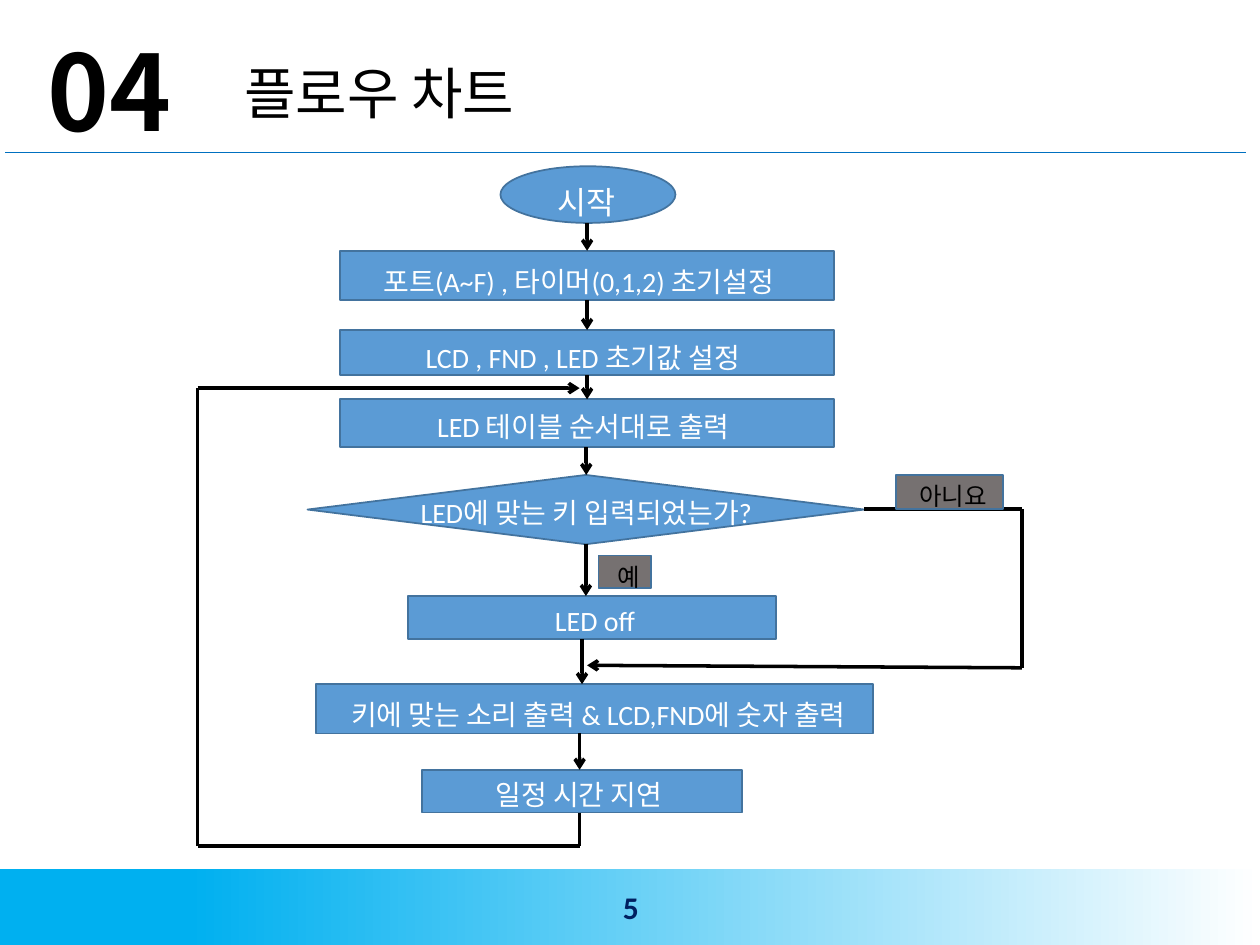
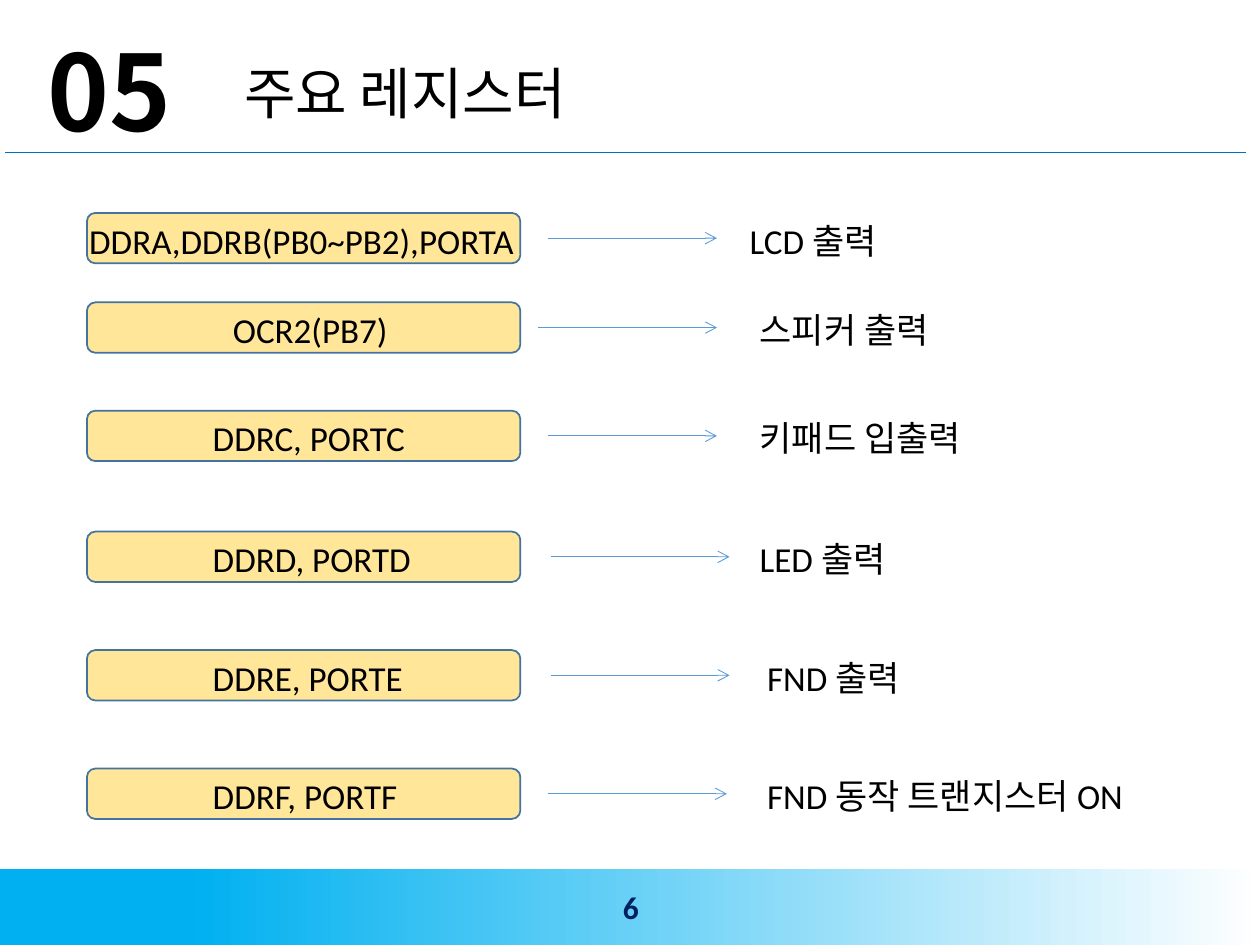
from itertools import pairwise

from lxml import etree
from pptx import Presentation
from pptx.dml.color import RGBColor
from pptx.enum.shapes import MSO_CONNECTOR, MSO_SHAPE
from pptx.enum.text import MSO_ANCHOR, PP_ALIGN
from pptx.oxml.ns import qn
from pptx.util import Pt

# Enum members
STRAIGHT = MSO_CONNECTOR.STRAIGHT
RECTANGLE = MSO_SHAPE.RECTANGLE
ROUNDED = MSO_SHAPE.ROUNDED_RECTANGLE
ELLIPSE = MSO_SHAPE.OVAL
DIAMOND = MSO_SHAPE.DIAMOND
LEFT = PP_ALIGN.LEFT
CENTER = PP_ALIGN.CENTER
TOP = MSO_ANCHOR.TOP
MIDDLE = MSO_ANCHOR.MIDDLE

# Colours and fonts
BLACK = RGBColor(0x00, 0x00, 0x00)
WHITE = RGBColor(0xFF, 0xFF, 0xFF)
SKY = RGBColor(0x00, 0xB0, 0xF0)
NAVY = RGBColor(0x00, 0x20, 0x60)
RULE_BLUE = RGBColor(0x00, 0x70, 0xC0)
STEP_BLUE = RGBColor(0x5B, 0x9B, 0xD5)
EDGE_BLUE = RGBColor(0x43, 0x73, 0x9E)
ANSWER_GRAY = RGBColor(0x76, 0x71, 0x71)
REGISTER_YELLOW = RGBColor(0xFF, 0xE6, 0x99)
BODY_FONT = "Calibri"
NUMBER_FONT = "Noto Sans CJK KR"

# Flow steps: shape, its frame, text, text frame, size, alignment
STEPS = [
    (ELLIPSE, (286, 95, 100, 32.4), "시작",
     (308, 100.8, 54.7, 20.9), 18, CENTER),
    (RECTANGLE, (194.4, 143.3, 282.2, 28.1), "포트(A~F) , 타이머(0,1,2) 초기설정",
     (199.4, 147.6, 262.8, 18.7), 16, CENTER),
    (RECTANGLE, (194.4, 188.6, 282.2, 25.9), "LCD , FND , LED 초기값 설정",
     (198, 190.8, 270, 20.9), 16, CENTER),
    (RECTANGLE, (194.4, 228.2, 282.2, 27.4), "LED 테이블 순서대로 출력",
     (197.3, 230.4, 272.2, 23), 16, CENTER),
    (DIAMOND, (175.7, 271.4, 318.2, 39.6), "LED에 맞는 키 입력되었는가?",
     (233.3, 279.4, 229, 46), 16, LEFT),
    (RECTANGLE, (233.3, 340.6, 210.2, 24.5), "LED off",
     (242.8, 341.3, 194.4, 23), 16, CENTER),
    (RECTANGLE, (180.7, 391, 318.2, 28.1), "키에 맞는 소리 출력 & LCD,FND에 숫자 출력",
     (185, 395.3, 313.9, 23), 16, CENTER),
    (RECTANGLE, (241.2, 439.9, 182.9, 24.5), "일정 시간 지연",
     (196.6, 440.6, 268.6, 23), 16, CENTER),
]
STEP_ARROW_X = [335.5, 335.5, 335.5, 335, 334.8, 332.6, 331.2]
NO_ROUTE = [(493.9, 290.9), (583.9, 290.9), (583.9, 381.6), (335.5, 380.2)]
REPEAT_ROUTE = [(331.2, 464.4), (331.2, 483.5), (113, 483.5),
                (113, 221.8), (331.2, 221.8)]
ANSWERS = [
    ((511.9, 271.4, 61.2, 19.4), "아니요", (514.1, 271.4, 61.2, 20.9), CENTER),
    ((342, 317.5, 30.2, 18.7), "예", (345.6, 317.5, 26.6, 20.9), LEFT),
]

# Registers: top, names, names left, arrow start and end, meaning, meaning left
REGISTERS = [
    (121.7, "DDRA,DDRB(PB0~PB2),PORTA", 43.9, 313.2, 409.7, "LCD 출력", 421.2),
    (172.8, "OCR2(PB7)", 126, 307.4, 409.7, "스피커 출력", 427),
    (234.7, "DDRC, PORTC", 114.5, 313.2, 409.7, "키패드 입출력", 427),
    (303.8, "DDRD, PORTD", 114.5, 314.6, 416.9, "LED 출력", 427),
    (371.5, "DDRE, PORTE", 114.5, 314.6, 416.9, "FND 출력", 431.3),
    (439.2, "DDRF, PORTF", 114.5, 313.2, 415.4, "FND 동작 트랜지스터 ON", 431.3),
]


def points(values):
    return [Pt(value) for value in values]


def add_text(page, frame, text, size, color=BLACK, align=LEFT,
             bold=False, font=BODY_FONT, anchor=TOP):
    box = page.shapes.add_textbox(*points(frame))
    box.text_frame.word_wrap = True
    box.text_frame.vertical_anchor = anchor
    para = box.text_frame.paragraphs[0]
    para.text = text
    para.alignment = align
    para.font.name = font
    para.font.size = Pt(size)
    para.font.bold = bold
    para.font.color.rgb = color


def add_block(page, kind, frame, color):
    block = page.shapes.add_shape(kind, *points(frame))
    block.shadow.inherit = False
    block.fill.solid()
    block.fill.fore_color.rgb = color
    block.line.color.rgb = EDGE_BLUE
    block.line.width = Pt(1)


def add_line(page, start, end, color=BLACK, width=2, arrow=False):
    line = page.shapes.add_connector(STRAIGHT, *points((*start, *end)))
    line.line.color.rgb = color
    line.line.width = Pt(width)
    properties = line._element.spPr
    if arrow:
        etree.SubElement(properties.find(qn("a:ln")), qn("a:tailEnd"), type="arrow")
    etree.SubElement(properties, qn("a:effectLst"))


def add_route(page, corners):
    """Joined lines through the corners, with an arrowhead at the last one."""
    for start, end in pairwise(corners):
        add_line(page, start, end, arrow=end == corners[-1])


def add_page(deck, chapter, title, page_number):
    page = deck.slides.add_slide(deck.slide_layouts[6])
    # Footer band
    band = page.shapes.add_shape(RECTANGLE, *points((0, 496.8, 720, 43.2)))
    band.shadow.inherit = False
    band.line.fill.background()
    band.fill.gradient()
    band.fill.gradient_angle = 0
    for stop, position, color in zip(band.fill.gradient_stops, (0.15, 1), (SKY, WHITE)):
        stop.position = position
        stop.color.rgb = color
    add_text(page, (276.5, 504, 168, 28.8), page_number, 18, NAVY, CENTER,
             bold=True, anchor=MIDDLE)
    # Heading
    add_text(page, (-7.9, 11.5, 140.4, 79.9), chapter, 60, align=CENTER,
             bold=True, font=NUMBER_FONT)
    add_line(page, (2.9, 87.1), (712.1, 87.1), RULE_BLUE, 0.75)
    add_text(page, (132.5, 30.2, 517, 46.1), title, 32)
    return page


def draw_flow_chart(page):
    for kind, frame, text, text_frame, size, align in STEPS:
        add_block(page, kind, frame, STEP_BLUE)
        add_text(page, text_frame, text, size, WHITE, align)
    # Arrows from each step to the next
    frames = [step[1] for step in STEPS]
    for (upper, lower), x in zip(pairwise(frames), STEP_ARROW_X):
        add_line(page, (x, upper[1] + upper[3]), (x, lower[1]), arrow=True)
    add_route(page, NO_ROUTE)
    add_route(page, REPEAT_ROUTE)
    for frame, text, text_frame, align in ANSWERS:
        add_block(page, RECTANGLE, frame, ANSWER_GRAY)
        add_text(page, text_frame, text, 14, align=align)


def draw_registers(page):
    for top, names, names_left, start, end, meaning, meaning_left in REGISTERS:
        add_block(page, ROUNDED, (49.7, top, 247.7, 28.8), REGISTER_YELLOW)
        add_text(page, (names_left, top, 283.7, 31.7), names, 20)
        arrow_y = top + 14.4
        add_line(page, (start, arrow_y), (end, arrow_y), STEP_BLUE, 0.5, arrow=True)
        add_text(page, (meaning_left, top, 226.8, 31.7), meaning, 20)


def main():
    deck = Presentation()
    deck.slide_width, deck.slide_height = points((720, 540))
    draw_flow_chart(add_page(deck, "04", "플로우 차트", "5"))
    draw_registers(add_page(deck, "05", "주요 레지스터", "6"))
    deck.save("out.pptx")


if __name__ == "__main__":
    main()
